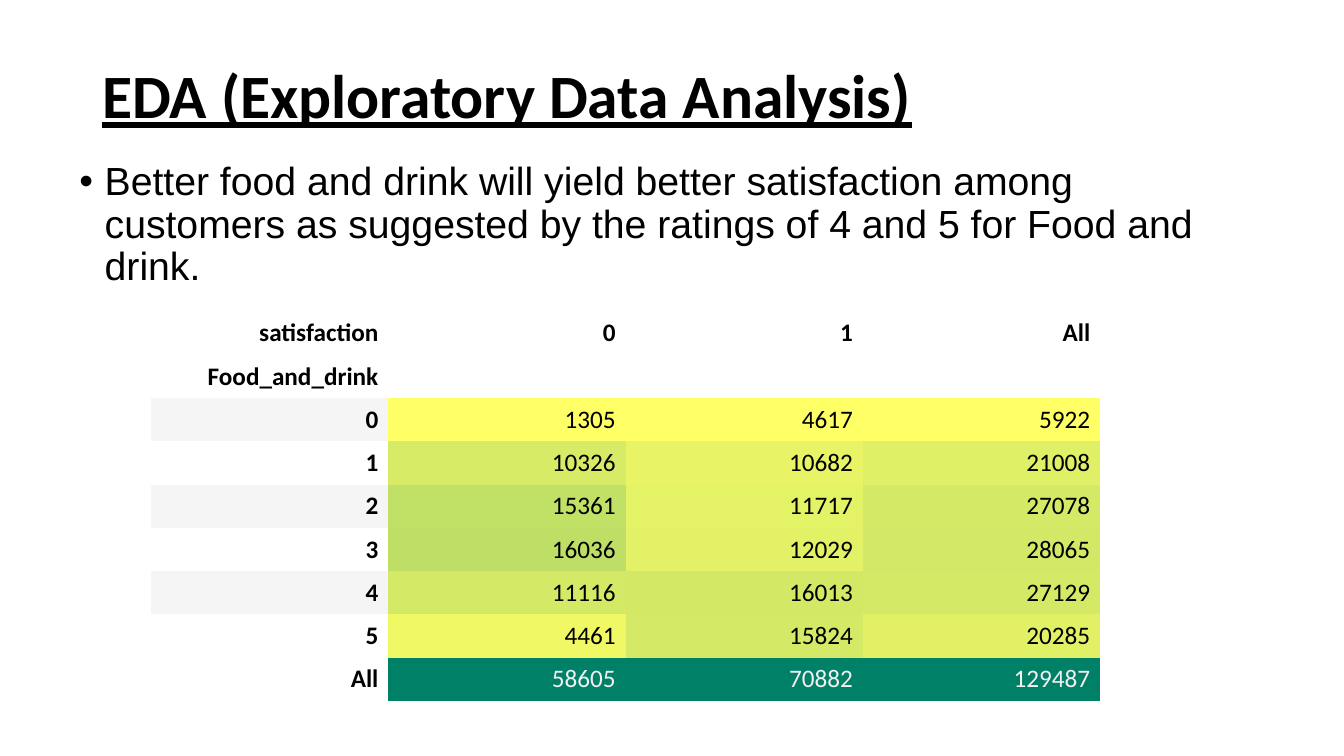
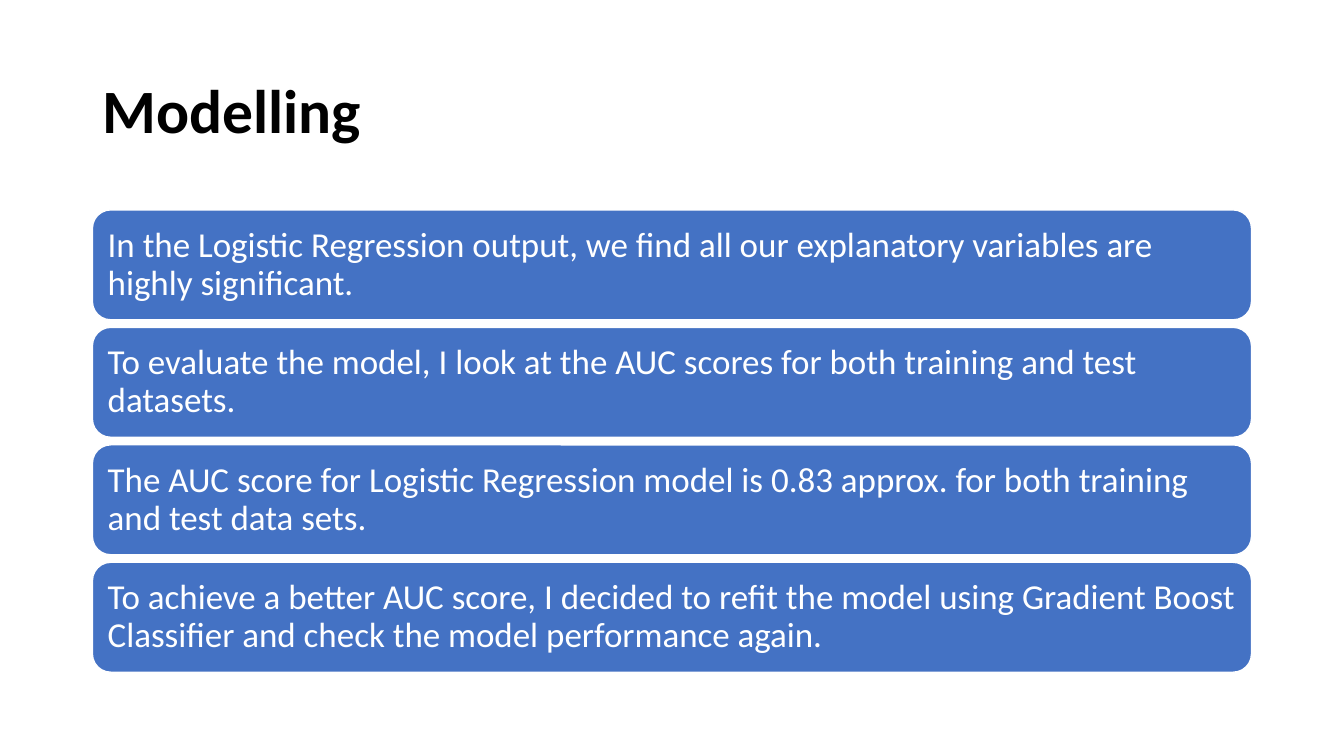
from dataclasses import dataclass

from lxml import etree
from pptx import Presentation
from pptx.dml.color import RGBColor
from pptx.enum import shapes, text
from pptx.oxml import ns
from pptx.slide import Slide
from pptx.util import Cm, Length, Pt

# Shared look
BLACK = RGBColor(0x00, 0x00, 0x00)
WHITE = RGBColor(0xFF, 0xFF, 0xFF)
BLUE = RGBColor(0x44, 0x72, 0xC4)
BAND_GREY = RGBColor(0xF5, 0xF5, 0xF5)
PALE_TEXT = RGBColor(0xF1, 0xF1, 0xF1)
HEADING_FONT = "Calibri"
BODY_FONT = "Arial"
LEFT, CONTENT_WIDTH = Cm(2.33), Cm(29.21)
LINE_SPACING = 0.9
NO_TABLE_STYLE = "{2D5ABB26-0587-4C30-8999-92F81FD0307C}"


@dataclass(frozen=True)
class Style:
    size: int
    color: RGBColor = BLACK
    font: str = HEADING_FONT
    bold: bool = False
    underline: bool = False


@dataclass(frozen=True)
class RatingRow:
    label: str
    counts: tuple[int, int, int]


# Slide content
HEADERS = (("satisfaction", "0", "1", "All"), ("Food_and_drink", "", "", ""))
RATINGS = (
    RatingRow("0", (1305, 4617, 5922)),
    RatingRow("1", (10326, 10682, 21008)),
    RatingRow("2", (15361, 11717, 27078)),
    RatingRow("3", (16036, 12029, 28065)),
    RatingRow("4", (11116, 16013, 27129)),
    RatingRow("5", (4461, 15824, 20285)),
    RatingRow("All", (58605, 70882, 129487)),
)
FINDING = (
    "Better food and drink will yield better satisfaction among customers "
    "as suggested by the ratings of 4 and 5 for Food and drink."
)
MODEL_STEPS = (
    "In the Logistic Regression output, we find all our explanatory "
    "variables are highly significant.",
    "To evaluate the model, I look at the AUC scores for both training "
    "and test datasets.",
    "The AUC score for Logistic Regression model is 0.83 approx. for both "
    "training and test data sets.",
    "To achieve a better AUC score, I decided to refit the model using "
    "Gradient Boost Classifier and check the model performance again.",
)


def add_run(paragraph, words: str, style: Style) -> None:
    run = paragraph.add_run()
    run.text = words
    run.font.name = style.font
    run.font.size = Pt(style.size)
    run.font.bold = style.bold
    run.font.underline = style.underline
    run.font.color.rgb = style.color


def add_text_box(slide: Slide, left: Length, top: Length, height: Length,
                 words: str, style: Style, anchor: text.MSO_ANCHOR):
    frame = slide.shapes.add_textbox(left, top, CONTENT_WIDTH, height).text_frame
    frame.word_wrap = True
    frame.vertical_anchor = anchor
    paragraph = frame.paragraphs[0]
    paragraph.line_spacing = LINE_SPACING
    add_run(paragraph, words, style)
    return paragraph


def add_title(slide: Slide, words: str, height: Length, underline: bool = False) -> None:
    style = Style(44, bold=True, underline=underline)
    add_text_box(slide, LEFT, Cm(1.01), height, words, style, text.MSO_ANCHOR.MIDDLE)


def add_bullet(slide: Slide, words: str) -> None:
    paragraph = add_text_box(slide, Cm(1.75), Cm(3.96), Cm(12.1), words,
                             Style(28, font=BODY_FONT), text.MSO_ANCHOR.TOP)
    properties = paragraph._p.get_or_add_pPr()
    properties.set("marL", str(Cm(0.64)))
    properties.set("indent", str(-Cm(0.64)))
    etree.SubElement(properties, ns.qn("a:buFont"), typeface=BODY_FONT)
    etree.SubElement(properties, ns.qn("a:buChar"), char="•")


def heat_color(value: int, column: tuple[int, ...]) -> RGBColor:
    """Yellow at the column minimum, green at its maximum, in 256 steps."""
    low, high = min(column), max(column)
    level = min(int(256 * (value - low) / (high - low)), 255)
    return RGBColor(255 - level, round(255 - level / 2), 0x66)


def fill_cell(cell, words: str, fill: RGBColor, style: Style) -> None:
    cell.fill.solid()
    cell.fill.fore_color.rgb = fill
    cell.vertical_anchor = text.MSO_ANCHOR.MIDDLE
    paragraph = cell.text_frame.paragraphs[0]
    paragraph.alignment = text.PP_ALIGN.RIGHT
    if words:
        add_run(paragraph, words, style)


def add_rating_table(slide: Slide) -> None:
    row_count, column_count = len(HEADERS) + len(RATINGS), len(HEADERS[0])
    table = slide.shapes.add_table(row_count, column_count, Cm(3.81), Cm(7.85),
                                   Cm(23.92), Cm(9.81)).table
    table.first_row = table.horz_banding = False
    table._tbl.tblPr.find(ns.qn("a:tableStyleId")).text = NO_TABLE_STYLE
    label_style = Style(18, bold=True)

    # Header rows
    for row, labels in enumerate(HEADERS):
        for column, label in enumerate(labels):
            fill_cell(table.cell(row, column), label, WHITE, label_style)

    # Rating rows, shaded column by column
    count_columns = tuple(zip(*(rating.counts for rating in RATINGS)))
    for index, rating in enumerate(RATINGS):
        row = index + len(HEADERS)
        is_total = rating is RATINGS[-1]
        band = WHITE if index % 2 or is_total else BAND_GREY
        fill_cell(table.cell(row, 0), rating.label, band, label_style)
        count_style = Style(18, PALE_TEXT if is_total else BLACK)
        for column, count in enumerate(rating.counts):
            fill_cell(table.cell(row, column + 1), str(count),
                      heat_color(count, count_columns[column]), count_style)


def add_step(slide: Slide, top: Length, words: str) -> None:
    shape = slide.shapes.add_shape(shapes.MSO_SHAPE.ROUNDED_RECTANGLE,
                                   LEFT, top, CONTENT_WIDTH, Cm(2.77))
    shape.shadow.inherit = False
    shape.fill.solid()
    shape.fill.fore_color.rgb = BLUE
    shape.line.color.rgb = WHITE
    shape.line.width = Pt(1)
    frame = shape.text_frame
    frame.word_wrap = True
    frame.vertical_anchor = text.MSO_ANCHOR.MIDDLE
    frame.margin_left = Cm(0.25)
    frame.margin_right = Cm(0.2)
    paragraph = frame.paragraphs[0]
    paragraph.alignment = text.PP_ALIGN.LEFT
    paragraph.line_spacing = LINE_SPACING
    add_run(paragraph, words, Style(25, WHITE))


def main() -> None:
    presentation = Presentation()
    presentation.slide_width, presentation.slide_height = Cm(33.87), Cm(19.05)
    blank = presentation.slide_layouts[6]

    # Exploratory analysis
    slide = presentation.slides.add_slide(blank)
    add_title(slide, "EDA (Exploratory Data Analysis)", Cm(2.95), underline=True)
    add_bullet(slide, FINDING)
    add_rating_table(slide)

    # Modelling
    slide = presentation.slides.add_slide(blank)
    add_title(slide, "Modelling", Cm(3.68))
    for index, step in enumerate(MODEL_STEPS):
        add_step(slide, Cm(5.29 + 2.96 * index), step)

    presentation.save("out.pptx")


if __name__ == "__main__":
    main()
